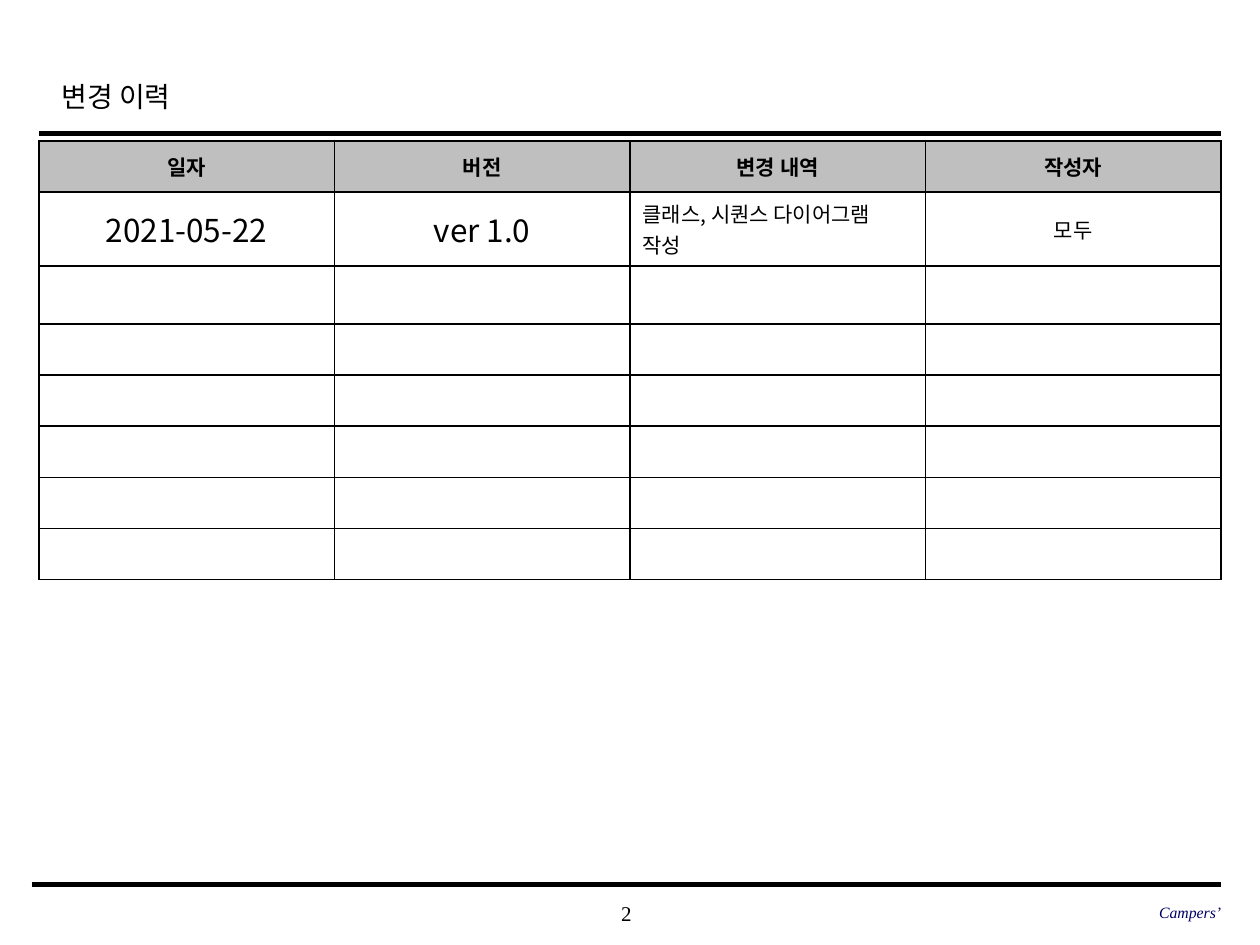
from lxml import etree
from pptx import Presentation
from pptx.dml.color import RGBColor
from pptx.enum import shapes, text
from pptx.oxml import ns
from pptx.util import Pt

COLORS = {"ink": "000000", "navy": "000066", "header": "BFBFBF", "paper": "FFFFFF"}
SERIF, SANS = "Times New Roman", "Noto Sans CJK KR"
LEFT, RIGHT = 22.2, 697.8
CENTER, START, END = text.PP_ALIGN.CENTER, text.PP_ALIGN.LEFT, text.PP_ALIGN.RIGHT
HEADERS = ["일자", "버전", "변경 내역", "작성자"]
ENTRY = [
    ("2021-05-22", 18, CENTER),
    ("ver 1.0", 18, CENTER),
    ("클래스, 시퀀스 다이어그램 작성", 12, START),
    ("모두", 12, CENTER),
]
ROW_HEIGHTS = [29.2, 42.2, 33.2] + [29.2] * 5


def rgb(name):
    return RGBColor.from_string(COLORS[name])


def format_text(tf, size, font, align, color="ink", bold=False, italic=False):
    p = tf.paragraphs[0]
    p.alignment = align
    for r in p.runs:
        r.font.size, r.font.name = Pt(size), font
        r.font.bold, r.font.italic = bold, italic
        r.font.color.rgb = rgb(color)
        etree.SubElement(r.font._element, ns.qn("a:ea"), typeface=SANS)


def add_title(s, words):
    sp = s.shapes.title
    sp.left, sp.top, sp.width, sp.height = Pt(28), Pt(35.3), Pt(543.6), Pt(36)
    tf = sp.text_frame
    tf.text = words
    tf.vertical_anchor = text.MSO_ANCHOR.MIDDLE
    tf.auto_size = text.MSO_AUTO_SIZE.NONE
    tf.paragraphs[0].line_spacing = 1.2
    format_text(tf, 16, SERIF, START)


def add_rule(s, x, y, width):
    line = s.shapes.add_connector(
        shapes.MSO_CONNECTOR.STRAIGHT, Pt(x), Pt(y), Pt(RIGHT), Pt(y))
    line.line.color.rgb = rgb("ink")
    line.line.width = Pt(width)
    etree.SubElement(line._element.spPr, ns.qn("a:effectLst"))


def add_footer(s, words, x, width, size, align, color="ink", italic=False):
    tf = s.shapes.add_textbox(Pt(x), Pt(509.5), Pt(width), Pt(24)).text_frame
    tf.text = words
    tf.word_wrap = True
    tf.vertical_anchor = text.MSO_ANCHOR.MIDDLE
    tf.margin_left = tf.margin_right = tf.margin_top = tf.margin_bottom = 0
    format_text(tf, size, SERIF, align, color, italic=italic)


def add_borders(cell):
    tcPr = cell._tc.get_or_add_tcPr()
    for i, side in enumerate(("lnL", "lnR", "lnT", "lnB")):
        ln = etree.Element(ns.qn(f"a:{side}"), w=str(Pt(1)))
        fill = etree.SubElement(ln, ns.qn("a:solidFill"))
        etree.SubElement(fill, ns.qn("a:srgbClr"), val=COLORS["ink"])
        tcPr.insert(i, ln)


def style_cell(cell, fill):
    cell.fill.solid()
    cell.fill.fore_color.rgb = rgb(fill)
    cell.vertical_anchor = text.MSO_ANCHOR.MIDDLE
    add_borders(cell)
    cell.text_frame.paragraphs[0]._p.get_or_add_endParaRPr().set("sz", "1200")


def add_history_table(s):
    width = RIGHT - LEFT
    table = s.shapes.add_table(
        len(ROW_HEIGHTS), len(HEADERS), Pt(LEFT), Pt(80.6),
        Pt(width), Pt(sum(ROW_HEIGHTS))).table
    for column in table.columns:
        column.width = Pt(width / len(HEADERS))
    for i, (row, height) in enumerate(zip(table.rows, ROW_HEIGHTS)):
        row.height = Pt(height)
        for cell in row.cells:
            style_cell(cell, "paper" if i else "header")
    for j, (header, (words, size, align)) in enumerate(zip(HEADERS, ENTRY)):
        for i, value in enumerate((header, words)):
            table.cell(i, j).text_frame.text = value
        format_text(table.cell(0, j).text_frame, 12, SANS, CENTER, bold=True)
        format_text(table.cell(1, j).text_frame, size, SANS, align)


def main():
    prs = Presentation()
    prs.slide_width, prs.slide_height = Pt(720), Pt(540)
    s = prs.slides.add_slide(prs.slide_layouts[5])
    add_footer(s, "2", 283, 149.8, 12, CENTER)
    add_rule(s, LEFT, 76.3, 2.5)
    add_rule(s, 18, 505.4, 3)
    add_title(s, "변경 이력")
    add_footer(s, "Campers’", 477.4, 220.4, 9, END, "navy", italic=True)
    add_history_table(s)
    prs.save("out.pptx")


if __name__ == "__main__":
    main()
